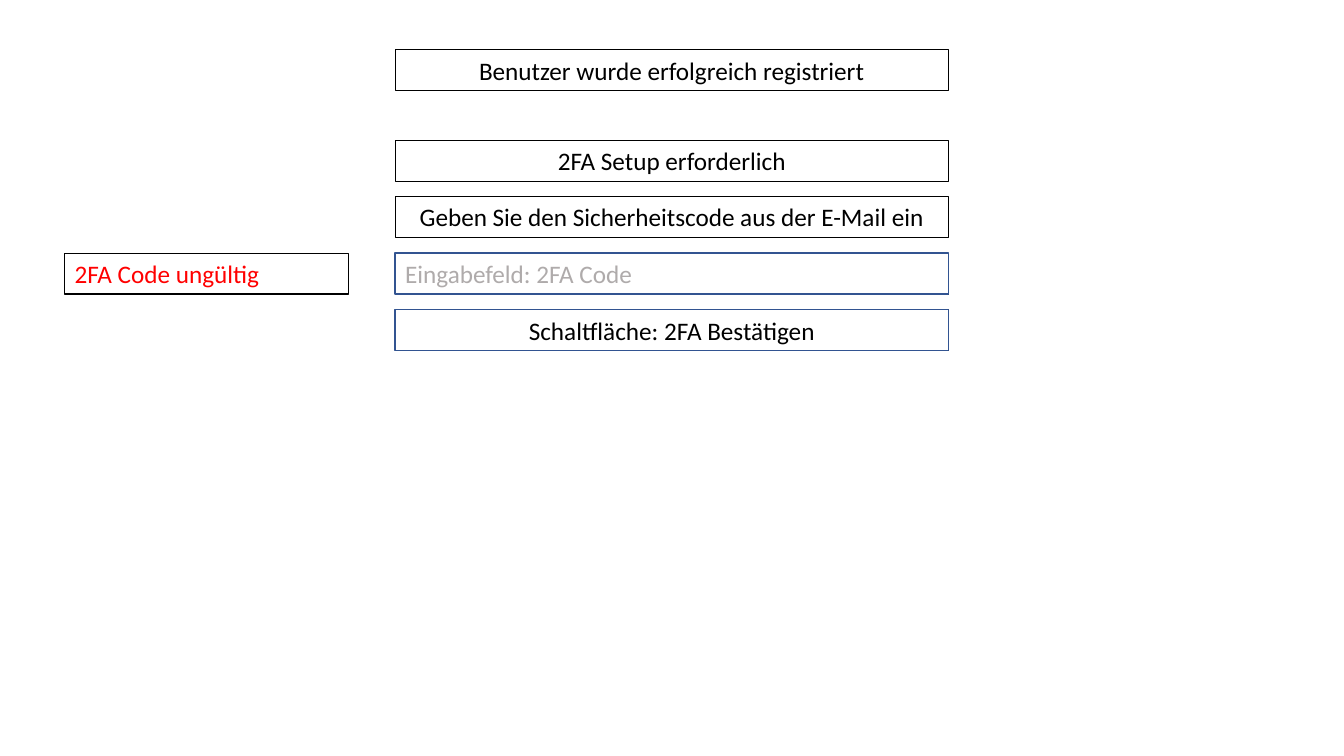
from dataclasses import dataclass

from pptx import Presentation
from pptx.dml.color import RGBColor
from pptx.enum.shapes import MSO_SHAPE
from pptx.enum.text import MSO_ANCHOR, MSO_AUTO_SIZE, PP_ALIGN
from pptx.util import Cm, Pt


@dataclass(frozen=True)
class Theme:
    font: str = "Calibri"
    text_size: float = 18
    text: str = "000000"
    hint: str = "AFABAB"
    error: str = "FF0000"
    frame: str = "000000"
    frame_width: float = 0.75
    control: str = "325491"
    control_width: float = 1


THEME = Theme()
FORM_LEFT, FORM_WIDTH = 9.96, 13.94
ERROR_LEFT, ERROR_WIDTH = 1.63, 7.16
ROW_HEIGHT = 1.03
NOTICE_TOP = 1.26
FORM_TOP, ROW_STEP = 3.54, 1.42


def form_row(index):
    return FORM_TOP + index * ROW_STEP


def set_outline(shape, color, width):
    shape.fill.background()
    shape.line.color.rgb = RGBColor.from_string(color)
    shape.line.width = Pt(width)


def write_text(frame, text, *, color=THEME.text, align=PP_ALIGN.CENTER, anchor=MSO_ANCHOR.TOP):
    frame.word_wrap = True
    frame.auto_size = MSO_AUTO_SIZE.SHAPE_TO_FIT_TEXT
    frame.vertical_anchor = anchor
    para = frame.paragraphs[0]
    para.alignment = align
    span = para.add_run()
    span.text = text
    span.font.name = THEME.font
    span.font.size = Pt(THEME.text_size)
    span.font.color.rgb = RGBColor.from_string(color)


def add_label(page, text, top, left=FORM_LEFT, width=FORM_WIDTH, **text_format):
    box = page.shapes.add_textbox(Cm(left), Cm(top), Cm(width), Cm(ROW_HEIGHT))
    set_outline(box, THEME.frame, THEME.frame_width)
    write_text(box.text_frame, text, **text_format)


def add_control(page, top):
    button = page.shapes.add_shape(
        MSO_SHAPE.ACTION_BUTTON_CUSTOM, Cm(FORM_LEFT), Cm(top), Cm(FORM_WIDTH), Cm(ROW_HEIGHT)
    )
    button.shadow.inherit = False
    set_outline(button, THEME.control, THEME.control_width)


def main():
    deck = Presentation()
    deck.slide_width, deck.slide_height = Cm(33.87), Cm(19.05)
    page = deck.slides.add_slide(deck.slide_layouts[6])
    input_top, confirm_top = form_row(2), form_row(3)

    add_label(page, "Benutzer wurde erfolgreich registriert", NOTICE_TOP)
    add_label(page, "2FA Setup erforderlich", form_row(0))
    add_label(page, "Geben Sie den Sicherheitscode aus der E-Mail ein", form_row(1))
    add_label(page, "Eingabefeld: 2FA Code", input_top, color=THEME.hint, align=PP_ALIGN.LEFT)
    add_label(page, "Schaltfläche: 2FA Bestätigen", confirm_top, anchor=MSO_ANCHOR.MIDDLE)
    add_label(page, "2FA Code ungültig", input_top, ERROR_LEFT, ERROR_WIDTH,
              color=THEME.error, align=PP_ALIGN.LEFT)

    for top in (input_top, confirm_top):
        add_control(page, top)

    deck.save("out.pptx")


if __name__ == "__main__":
    main()
